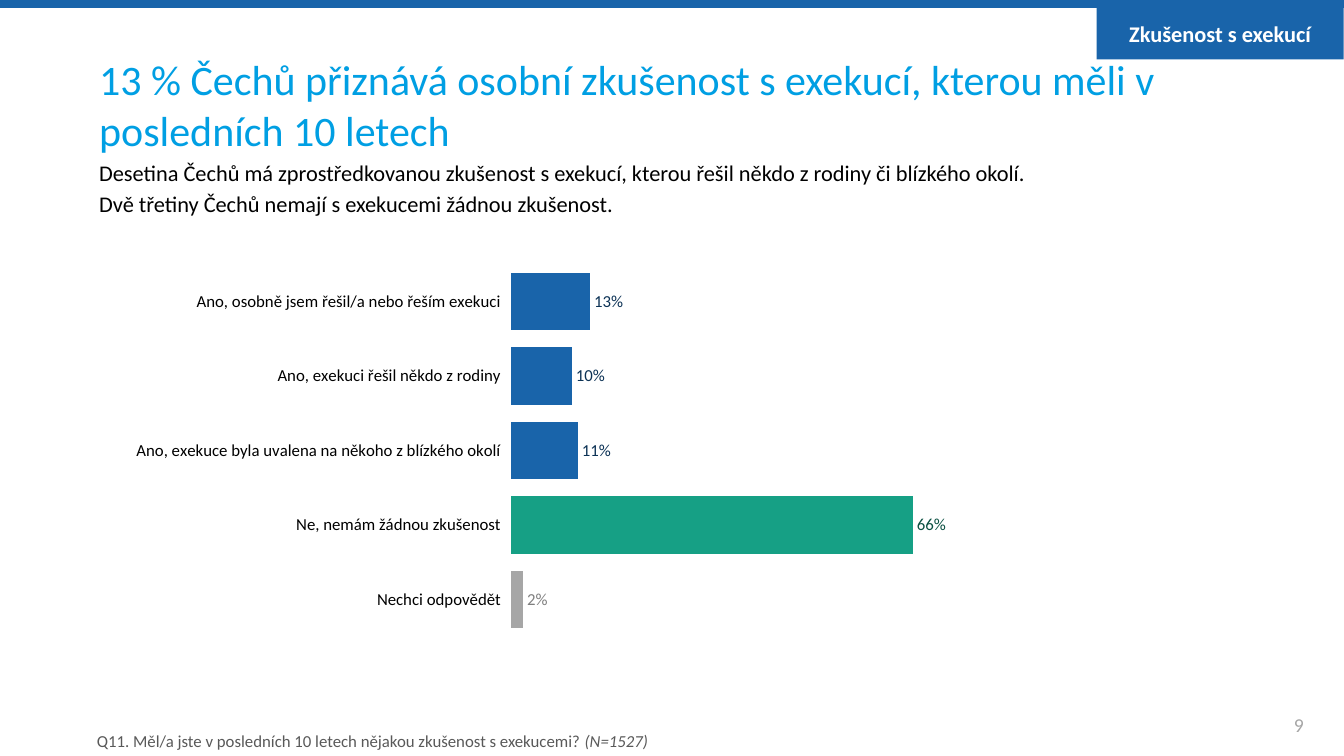
from lxml.etree import SubElement as Sub
from pptx import Presentation
from pptx.chart.data import CategoryChartData as Data
from pptx.dml.color import RGBColor
from pptx.enum.chart import XL_CHART_TYPE as Kind, XL_LABEL_POSITION as Spot
from pptx.enum.shapes import MSO_SHAPE as Form
from pptx.enum.text import MSO_ANCHOR as Anchor, PP_ALIGN as Align
from pptx.oxml.ns import qn
from pptx.util import Cm, Pt

WIDE, HIGH = 33.87, 19.05
BLUE, GREEN, GREY = "1964AA", "16A085", "A6A6A6"
BLACK, WHITE = "000000", "FFFFFF"

BARS = [
    ("Ano, osobně jsem řešil/a nebo řeším exekuci", 0.13),
    ("Ano, exekuci řešil někdo z rodiny", 0.10),
    ("Ano, exekuce byla uvalena na někoho z blízkého okolí", 0.11),
    ("Ne, nemám žádnou zkušenost", 0.66),
    ("Nechci odpovědět", 0.02),
]
# Bar index: bar colour, label colour
ACCENTS = {3: (GREEN, "0B5042"), 4: (GREY, "7F7F7F")}


def color(code):
    return RGBColor.from_string(code)


def style(font, size, code, bold=False, italic=False):
    font.name, font.size = "Calibri", Pt(size)
    font.bold, font.italic = bold, italic
    font.color.rgb = color(code)


def paint(fill, code):
    fill.solid()
    fill.fore_color.rgb = color(code)


def write(para, text, size, code, **look):
    run = para.add_run()
    run.text = text
    style(run.font, size, code, **look)


def add_box(slide, area, left=0, right=0, anchor=Anchor.MIDDLE):
    """Add an empty text box with side insets and return its frame."""
    frame = slide.shapes.add_textbox(*map(Cm, area)).text_frame
    frame.word_wrap = True
    frame.vertical_anchor = anchor
    frame.margin_left, frame.margin_right = Cm(left), Cm(right)
    frame.margin_top = frame.margin_bottom = 0
    return frame


def add_bar(slide, area):
    bar = slide.shapes.add_shape(Form.RECTANGLE, *map(Cm, area))
    bar.shadow.inherit = False
    paint(bar.fill, BLUE)
    bar.line.fill.background()
    return bar


def place_plot(chart, **parts):
    """Fix the inner plot area as fractions of the chart."""
    area = chart.element.find(".//" + qn("c:plotArea"))
    layout = area.find(qn("c:layout"))
    if layout is None:
        layout = Sub(area, qn("c:layout"))
        area.insert(0, layout)
    manual = Sub(layout, qn("c:manualLayout"))
    modes = {"layoutTarget": "inner", "xMode": "edge", "yMode": "edge"}
    for tag, val in {**modes, **parts}.items():
        Sub(manual, qn("c:" + tag)).set("val", str(val))


def add_chart(slide, area):
    data = Data(number_format="0%")
    data.categories = [name for name, _ in BARS]
    data.add_series("Series 1", [val for _, val in BARS])
    chart = slide.shapes.add_chart(
        Kind.BAR_CLUSTERED, *map(Cm, area), data).chart
    chart.has_legend = chart.has_title = False
    style(chart.font, 10.5, BLACK)
    place_plot(chart, x=0.39, y=0.03, w=0.6, h=0.92)

    axis = chart.category_axis
    axis.reverse_order = True
    axis.format.line.fill.background()
    style(axis.tick_labels.font, 12, BLACK)
    scale = chart.value_axis
    scale.minimum_scale, scale.maximum_scale = 0, 1
    scale.has_major_gridlines = scale.visible = False

    plot = chart.plots[0]
    plot.gap_width, plot.vary_by_categories = 30, False
    series = plot.series[0]
    paint(series.format.fill, BLUE)
    labels = series.data_labels
    labels.show_value = True
    labels.position = Spot.OUTSIDE_END
    labels.number_format, labels.number_format_is_linked = "0%;;", False
    style(labels.font, 12, "0C3255")
    for index, (fill, ink) in ACCENTS.items():
        point = series.points[index]
        paint(point.format.fill, fill)
        style(point.data_label.font, 12, ink)
        point.data_label.position = Spot.OUTSIDE_END


def main():
    deck = Presentation()
    deck.slide_width, deck.slide_height = Cm(WIDE), Cm(HIGH)
    slide = deck.slides.add_slide(deck.slide_layouts[6])
    add_bar(slide, (0, 0, WIDE, 0.2))

    body = add_box(slide, (0, 4.01, WIDE, 1.83), 2.5, 2.5, Anchor.TOP)
    lines = [
        "Desetina Čechů má zprostředkovanou zkušenost s exekucí, "
        "kterou řešil někdo z rodiny či blízkého okolí.",
        "Dvě třetiny Čechů nemají s exekucemi žádnou zkušenost.",
    ]
    for index, line in enumerate(lines):
        para = body.add_paragraph() if index else body.paragraphs[0]
        para.space_before = Pt(3.2)
        write(para, line, 16, BLACK)

    title = add_box(slide, (0, 1.78, WIDE, 1.7), 2.5)
    write(title.paragraphs[0], "13 % Čechů přiznává osobní zkušenost s "
          "exekucí, kterou měli v posledních 10 letech", 30, "009FE3")

    page = add_box(slide, (31.6, 17.75, 2.26, 1.02)).paragraphs[0]
    page.alignment = Align.CENTER
    write(page, "9", 14, GREY)

    add_chart(slide, (2.9, 6.35, 25.58, 10.21))

    note = add_box(slide, (2.44, 18.29, 25.55, 0.76)).paragraphs[0]
    write(note, "Q11. Měl/a jste v posledních 10 letech nějakou zkušenost "
          "s exekucemi? ", 12, "595959")
    write(note, "(N=1527)", 12, "595959", italic=True)

    tag = add_bar(slide, (27.64, 0.18, 6.22, 1.32)).text_frame
    tag.vertical_anchor = Anchor.MIDDLE
    tag.paragraphs[0].alignment = Align.CENTER
    write(tag.paragraphs[0], "Zkušenost s exekucí", 16, WHITE, bold=True)
    deck.save("out.pptx")


if __name__ == "__main__":
    main()
